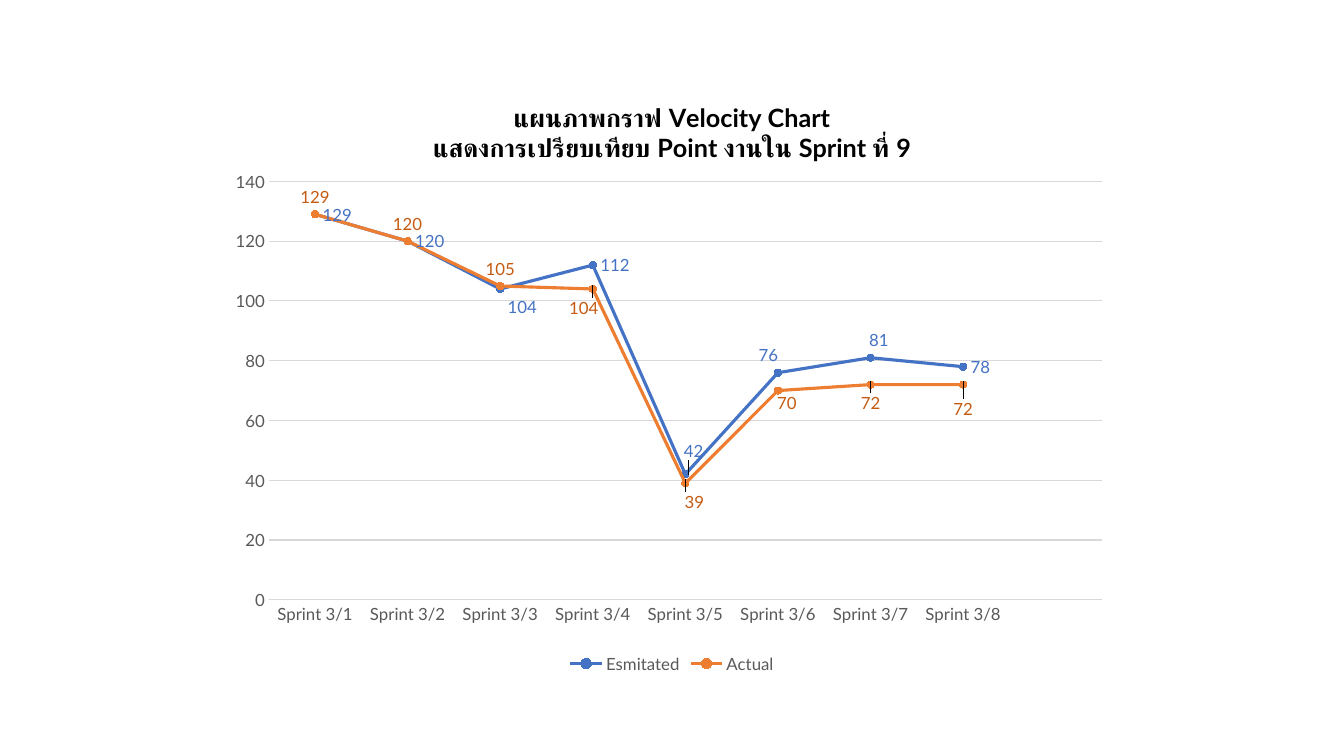
from lxml.etree import SubElement
from pptx import Presentation
from pptx.chart.data import CategoryChartData
from pptx.dml.color import RGBColor
from pptx.enum.chart import (XL_CHART_TYPE as CHART, XL_LABEL_POSITION as LABEL,
                             XL_LEGEND_POSITION as LEGEND,
                             XL_MARKER_STYLE as MARKER, XL_TICK_MARK as TICK)
from pptx.oxml import parse_xml
from pptx.oxml.ns import nsdecls, qn
from pptx.util import Pt

BLACK = RGBColor(0, 0, 0)
GREY = RGBColor(0x59, 0x59, 0x59)
GRID = RGBColor(0xD9, 0xD9, 0xD9)
BLUE = RGBColor(0x44, 0x72, 0xC4)
ORANGE = RGBColor(0xED, 0x7D, 0x31)
RUST = RGBColor(0xC5, 0x5A, 0x11)
FONT = "Lato"

TITLE = ["แผนภาพกราฟ Velocity Chart", "แสดงการเปรียบเทียบ Point งานใน Sprint ที่ 9"]
SPRINTS = [f"Sprint 3/{n}" for n in range(1, 9)] + [""]
SERIES = [
    dict(name="Esmitated", values=[129, 120, 104, 112, 42, 76, 81, 78, None],
         color=BLUE, label_color=BLUE, position=LABEL.RIGHT,
         shifts={2: (0, 0.03), 4: (-0.01, -0.04), 5: (-0.03, -0.03), 6: (-0.01, -0.03)}),
    dict(name="Actual", values=[129, 120, 105, 104, 39, 70, 72, 72, None],
         color=ORANGE, label_color=RUST, position=LABEL.ABOVE,
         shifts={3: (-0.01, 0.06), 4: (0.01, 0.06), 5: (0.01, 0.05),
                 6: (0, 0.06), 7: (0, 0.07)}),
]
PLOT = dict(layoutTarget="inner", xMode="edge", yMode="edge", x=0.05, y=0.17, w=0.93, h=0.7)


def style(font, size, color, bold=False):
    font.name, font.size, font.bold = FONT, Pt(size), bold
    font.color.rgb = color


def make_layout(settings):
    layout = parse_xml(f"<c:layout {nsdecls('c')}/>")
    manual = SubElement(layout, qn("c:manualLayout"))
    for tag, value in settings.items():
        SubElement(manual, qn(f"c:{tag}")).set("val", str(value))
    return layout


def format_series(ser, item):
    ser.smooth = False
    ser.format.line.color.rgb = item["color"]
    ser.format.line.width = Pt(2.25)
    ser.marker.style, ser.marker.size = MARKER.CIRCLE, 5
    for fmt in (ser.marker.format.fill, ser.marker.format.line.fill):
        fmt.solid()
        fmt.fore_color.rgb = item["color"]
    labels = ser.data_labels
    labels.show_value = True
    labels.position = item["position"]
    style(labels.font, 12, item["label_color"])
    for i, (dx, dy) in item["shifts"].items():
        label = ser.points[i].data_label
        label.position = item["position"]
        style(label.font, 12, item["label_color"])
        idx = ser._element.xpath(f"c:dLbls/c:dLbl/c:idx[@val='{i}']")[0]
        idx.addnext(make_layout(dict(x=dx, y=dy)))


prs = Presentation()
prs.slide_width, prs.slide_height = Pt(960), Pt(540)
s = prs.slides.add_slide(prs.slide_layouts[6])

data = CategoryChartData()
data.categories = SPRINTS
for item in SERIES:
    data.add_series(item["name"], item["values"])
chart = s.shapes.add_chart(CHART.LINE_MARKERS, Pt(160), Pt(57), Pt(640), Pt(427), data).chart
style(chart.font, 10, BLACK)

tf = chart.chart_title.text_frame
tf.text = "\n".join(TITLE)
for p in tf.paragraphs:
    style(p.font, 18, BLACK, True)
chart.chart_title.include_in_layout = False

chart.has_legend = True
chart.legend.position = LEGEND.BOTTOM
chart.legend.include_in_layout = False
style(chart.legend.font, 12, GREY)

cat, val = chart.category_axis, chart.value_axis
for axis in (cat, val):
    axis.major_tick_mark = axis.minor_tick_mark = TICK.NONE
    style(axis.tick_labels.font, 12, GREY)
val.minimum_scale, val.maximum_scale, val.major_unit = 0, 140, 20
val.format.line.fill.background()
for line in (cat.format.line, val.major_gridlines.format.line):
    line.color.rgb = GRID
    line.width = Pt(0.75)

plot_area = chart._chartSpace.chart.plotArea
for old in plot_area.findall(qn("c:layout")):
    plot_area.remove(old)
plot_area.insert(0, make_layout(PLOT))

for ser, item in zip(chart.plots[0].series, SERIES):
    format_series(ser, item)

prs.save("out.pptx")
